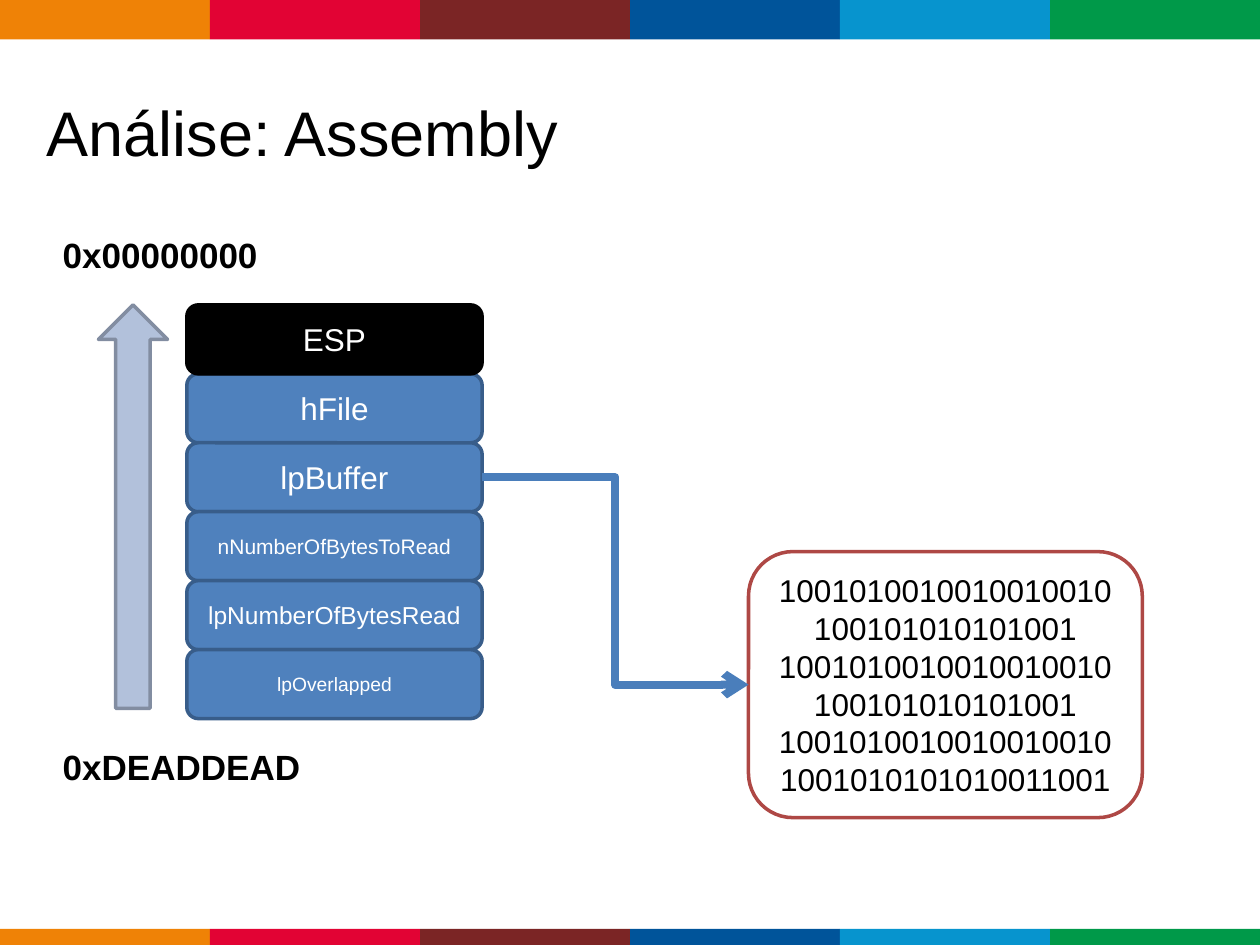
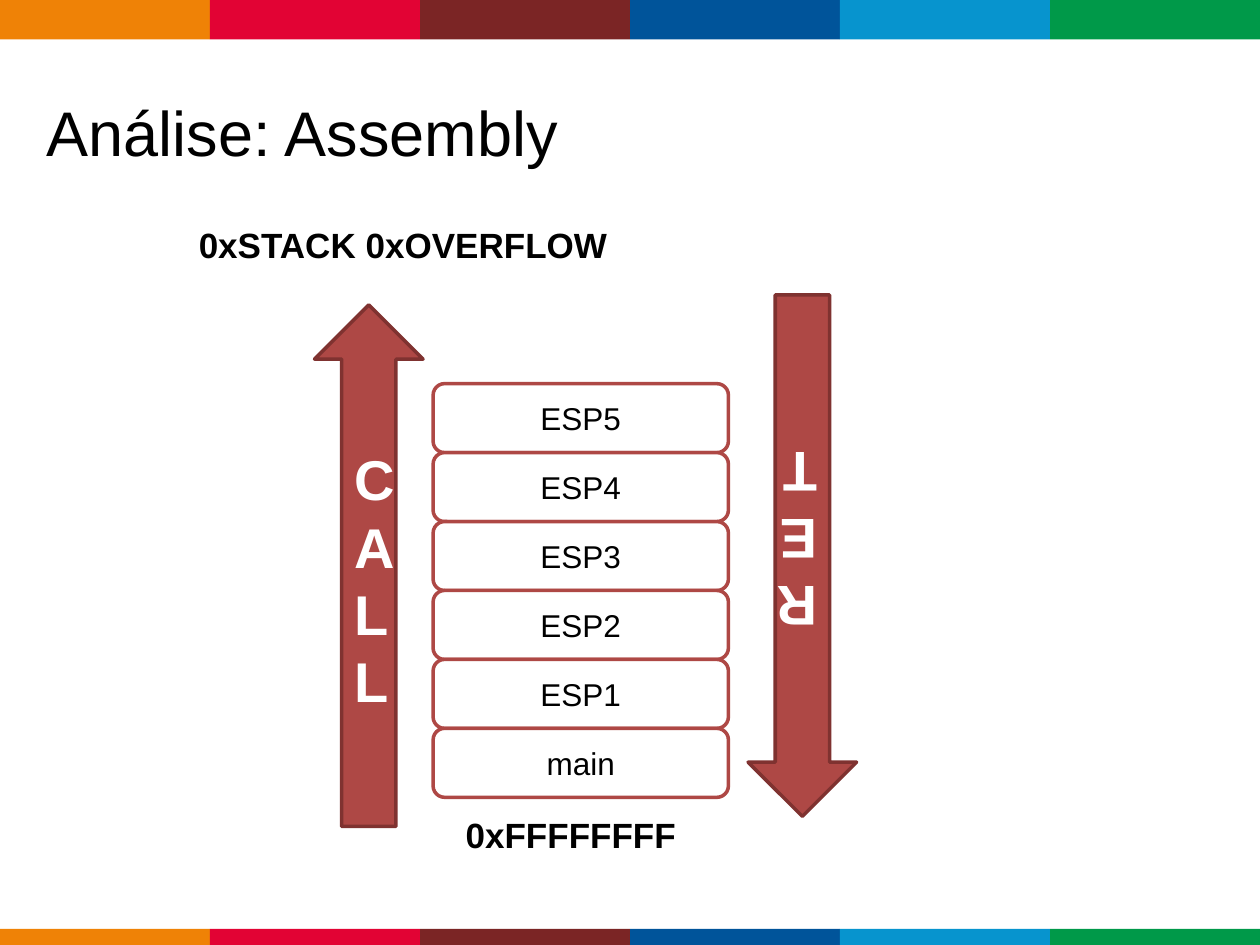
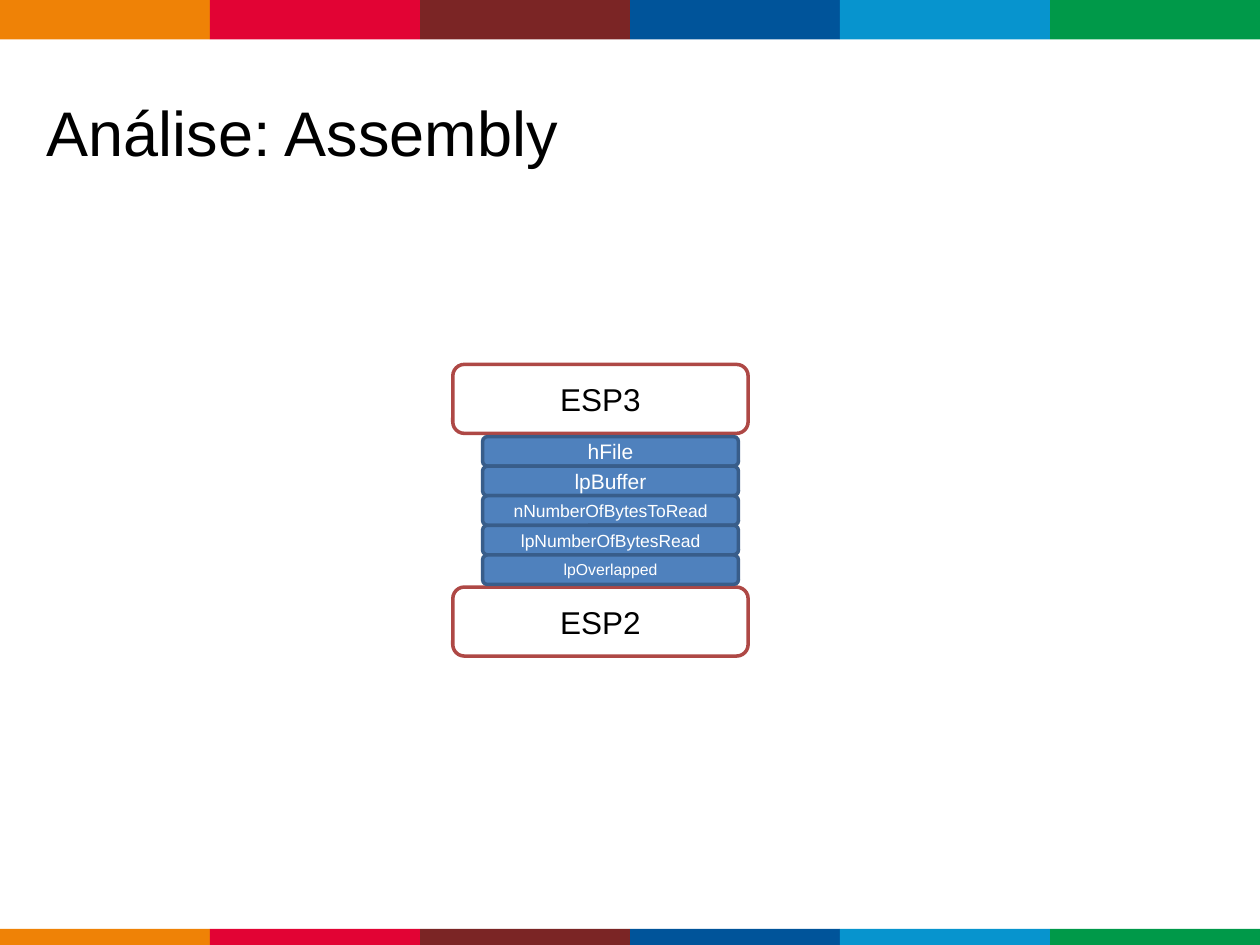
import lxml.etree
import pptx
import pptx.dml.color
import pptx.enum.shapes
import pptx.enum.text
import pptx.oxml.ns
import pptx.util

Pt = pptx.util.Pt
KIND = pptx.enum.shapes.MSO_SHAPE
ALIGN = pptx.enum.text.PP_ALIGN
ANCHOR = pptx.enum.text.MSO_ANCHOR
qn = pptx.oxml.ns.qn

SLIDE_WIDTH, SLIDE_HEIGHT = 720, 540
BAND_COLORS = ["EF8206", "E20334", "7B2525", "00549A", "0794CE", "009949"]
BLACK, WHITE = "000000", "FFFFFF"
BLUE = {"fill": "4F81BD", "line": "385D8A", "color": WHITE}
DARK = {"fill": BLACK, "line": BLACK, "color": WHITE}
OUTLINED = {"fill": WHITE, "line": "AE4845", "color": BLACK}
RED = {"fill": "AE4845", "line": "7F3230", "color": WHITE}
PALE = {"fill": "B2C1DB", "line": "828DA1"}
ROW_WIDTH, ROW_HEIGHT = 168.75, 39.4
PARAMETERS = ["hFile", "lpBuffer", "nNumberOfBytesToRead", "lpNumberOfBytesRead", "lpOverlapped"]
BUFFER_BITS = (
    "1001010010010010010100101010101001 "
    "1001010010010010010100101010101001 "
    "10010100100100100101001010101010011001"
)


def rgb(value):
    """Turn a hex string into a colour."""
    return pptx.dml.color.RGBColor.from_string(value)


def write(frame, text, size=18, color=BLACK, bold=False, align=ALIGN.LEFT,
          anchor=ANCHOR.TOP, wrap=True):
    """Put formatted text into a text frame."""
    frame.word_wrap = wrap
    frame.vertical_anchor = anchor
    paragraph = frame.paragraphs[0]
    paragraph.alignment = align
    run = paragraph.add_run()
    run.text = text
    run.font.name = "Arial"
    run.font.size = Pt(size)
    run.font.bold = bold
    run.font.color.rgb = rgb(color)


def draw(slide, kind, box, fill, line=None, color=WHITE, text="", size=18, bold=False):
    """Draw a filled preset shape with optional outline and centred text."""
    shape = slide.shapes.add_shape(kind, *map(Pt, box))
    shape.shadow.inherit = False
    shape.fill.solid()
    shape.fill.fore_color.rgb = rgb(fill)
    if line:
        shape.line.color.rgb = rgb(line)
        shape.line.width = Pt(2)
    else:
        shape.line.fill.background()
    if text:
        write(shape.text_frame, text, size=size, color=color, bold=bold,
              align=ALIGN.CENTER, anchor=ANCHOR.MIDDLE)
    return shape


def add_address(slide, text, box, wrap=False):
    """Add a bold memory address label."""
    label = slide.shapes.add_textbox(*map(Pt, box))
    write(label.text_frame, text, size=20, bold=True, wrap=wrap)


def add_stack(slide, box, names, sizes, style):
    """Fill a box with equal touching rows and return them."""
    left, top, width, height = box
    row_height = height / len(names)
    return [
        draw(slide, KIND.ROUNDED_RECTANGLE, (left, top + i * row_height, width, row_height),
             text=name, size=size, **style)
        for i, (name, size) in enumerate(zip(names, sizes))
    ]


def add_pointer(slide, source, target):
    """Join the right side of source to the left side of target with an elbow arrow."""
    pointer = slide.shapes.add_connector(pptx.enum.shapes.MSO_CONNECTOR.ELBOW, 0, 0, 0, 0)
    pointer.begin_connect(source, 3)
    pointer.end_connect(target, 1)
    pointer.line.color.rgb = rgb("4A7EBB")
    pointer.line.width = Pt(4.5)
    properties = pointer.element.spPr
    lxml.etree.SubElement(properties.find(qn("a:ln")), qn("a:tailEnd"), type="arrow")
    lxml.etree.SubElement(properties, qn("a:effectLst"))


def add_band(slide, layout, top, height):
    """Draw a row of coloured segments and move it to the shared layout."""
    width = SLIDE_WIDTH / len(BAND_COLORS)
    for i, color in enumerate(BAND_COLORS):
        segment = draw(slide, KIND.RECTANGLE, (i * width, top, width, height), color)
        segment.element.nvSpPr.cNvPr.set("id", str(100 + len(layout.shapes)))
        layout.shapes.element.append(segment.element)


def add_titled_slide(deck, layout):
    """Add a slide with the shared title."""
    slide = deck.slides.add_slide(layout)
    title = slide.shapes.title
    title.left, title.top, title.width, title.height = map(Pt, (19.5, 38, 448, 73.5))
    write(title.text_frame, "Análise: Assembly", size=36, anchor=ANCHOR.MIDDLE)
    return slide


def build_parameters(slide, left, top):
    """Show the call parameters on the stack and the buffer they point to."""
    stack_left = left + 78
    parameters = add_stack(
        slide, (stack_left, top + ROW_HEIGHT, ROW_WIDTH, ROW_HEIGHT * len(PARAMETERS)),
        PARAMETERS, [18, 18, 12, 14, 11], BLUE)
    add_stack(slide, (stack_left, top, ROW_WIDTH, ROW_HEIGHT), ["ESP"], [18], DARK)
    draw(slide, KIND.UP_ARROW, (left + 27.5, top, 39.5, 230.5), **PALE)
    add_address(slide, "0x00000000", (left, top - 44.5, 126, 31.5))
    add_address(slide, "0xDEADDEAD", (left, top + 248, 150, 31.5))
    buffer = draw(slide, KIND.ROUNDED_RECTANGLE, (left + 399, top + 141, 225, 152),
                  text=BUFFER_BITS, **OUTLINED)
    add_pointer(slide, parameters[1], buffer)


def build_call_stack(slide, left, top):
    """Show the stack growing with CALL and shrinking with RET."""
    frames = ["ESP5", "ESP4", "ESP3", "ESP2", "ESP1", "main"]
    arrow = {"text": "CALL", "size": 32, "bold": True, **RED}
    draw(slide, KIND.UP_ARROW, (left - 67.75, top - 45, 62, 298), **arrow)
    add_stack(slide, (left, top, ROW_WIDTH, ROW_HEIGHT * len(frames)),
              frames, [18] * len(frames), OUTLINED)
    arrow["text"] = "RET"
    ret = draw(slide, KIND.UP_ARROW, (left + 180, top - 50.75, 62, 298), **arrow)
    ret.rotation = 180
    add_address(slide, "0xFFFFFFFF", (left + 11.5, top + 242.25, 134.5, 31.5))
    add_address(slide, "0xSTACK 0xOVERFLOW", (left - 141, top - 95.25, 258.5, 31.5), wrap=True)


def build_frame_detail(slide, left, top):
    """Show the parameters held between two stack frames."""
    for name, offset in (("ESP3", 0), ("ESP2", 127.25)):
        add_stack(slide, (left, top + offset, ROW_WIDTH, ROW_HEIGHT), [name], [18], OUTLINED)
    add_stack(slide, (left + 17, top + 41.25, 146.25, 84.5),
              PARAMETERS, [12, 12, 10, 10, 9], BLUE)


def main():
    """Build and save the deck."""
    deck = pptx.Presentation()
    deck.slide_width, deck.slide_height = Pt(SLIDE_WIDTH), Pt(SLIDE_HEIGHT)
    layout = deck.slide_layouts[5]
    parameters, call_stack, frame_detail = [add_titled_slide(deck, layout) for _ in range(3)]
    add_band(parameters, layout, 0, 22.5)
    add_band(parameters, layout, 530.75, 9.25)
    build_parameters(parameters, 28.75, 174.25)
    build_call_stack(call_stack, 247.5, 219.25)
    build_frame_detail(frame_detail, 258.75, 208.25)
    deck.save("out.pptx")


if __name__ == "__main__":
    main()
